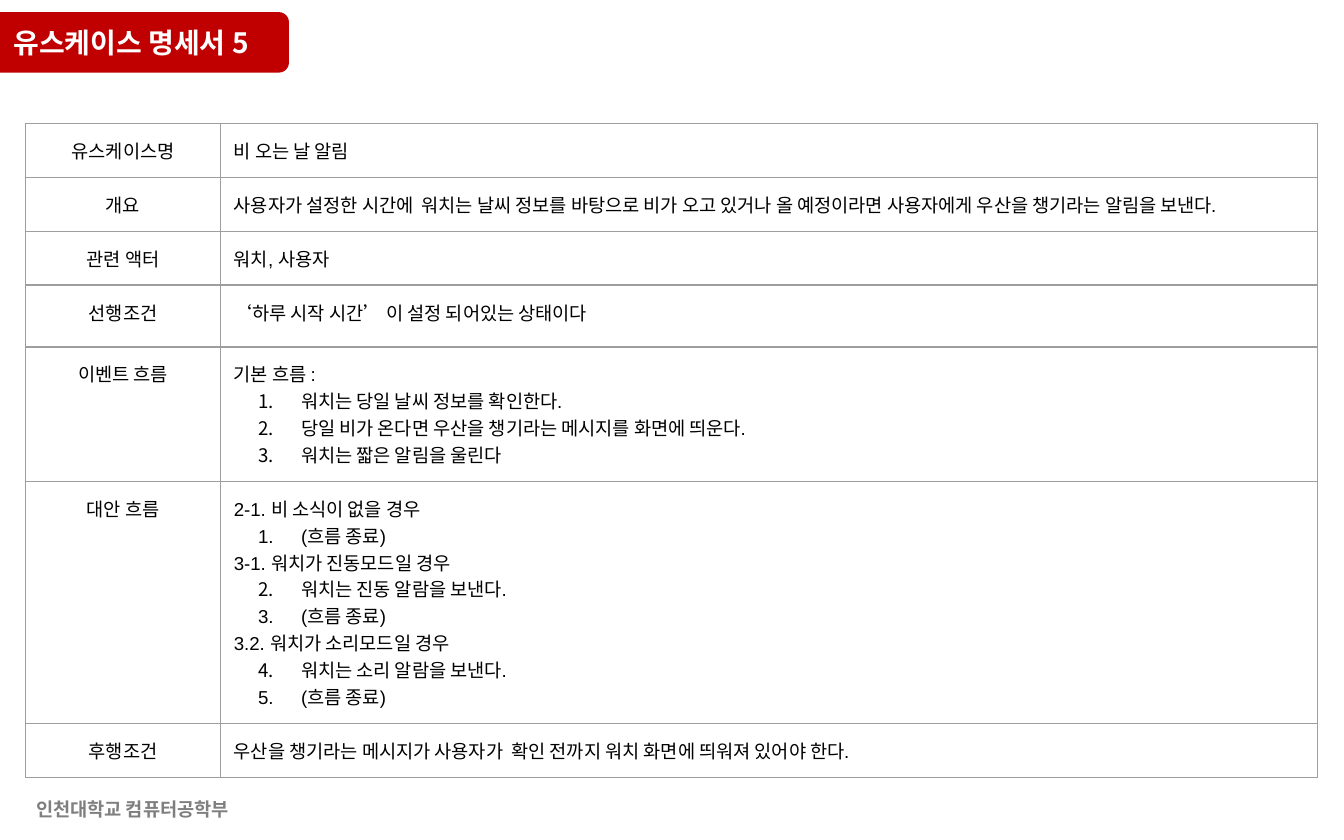
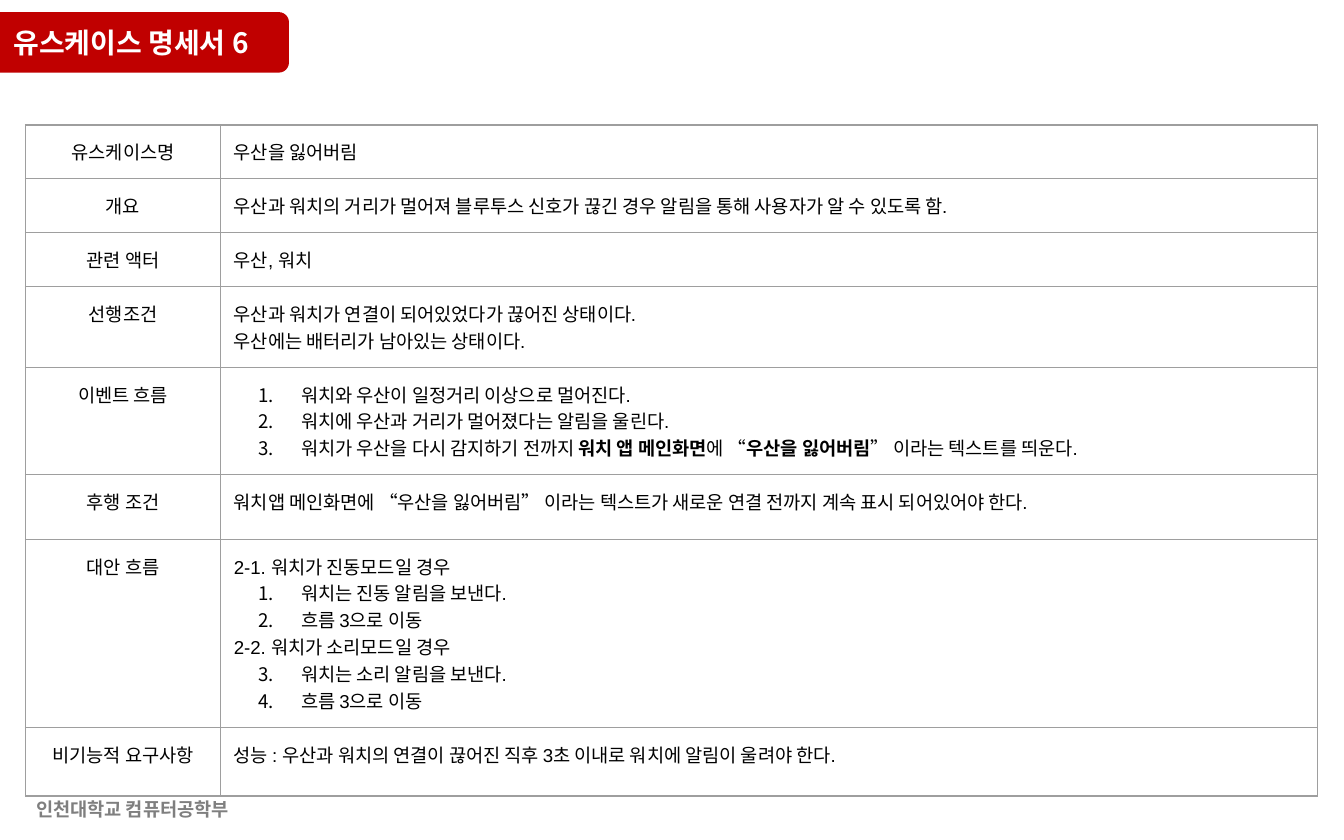
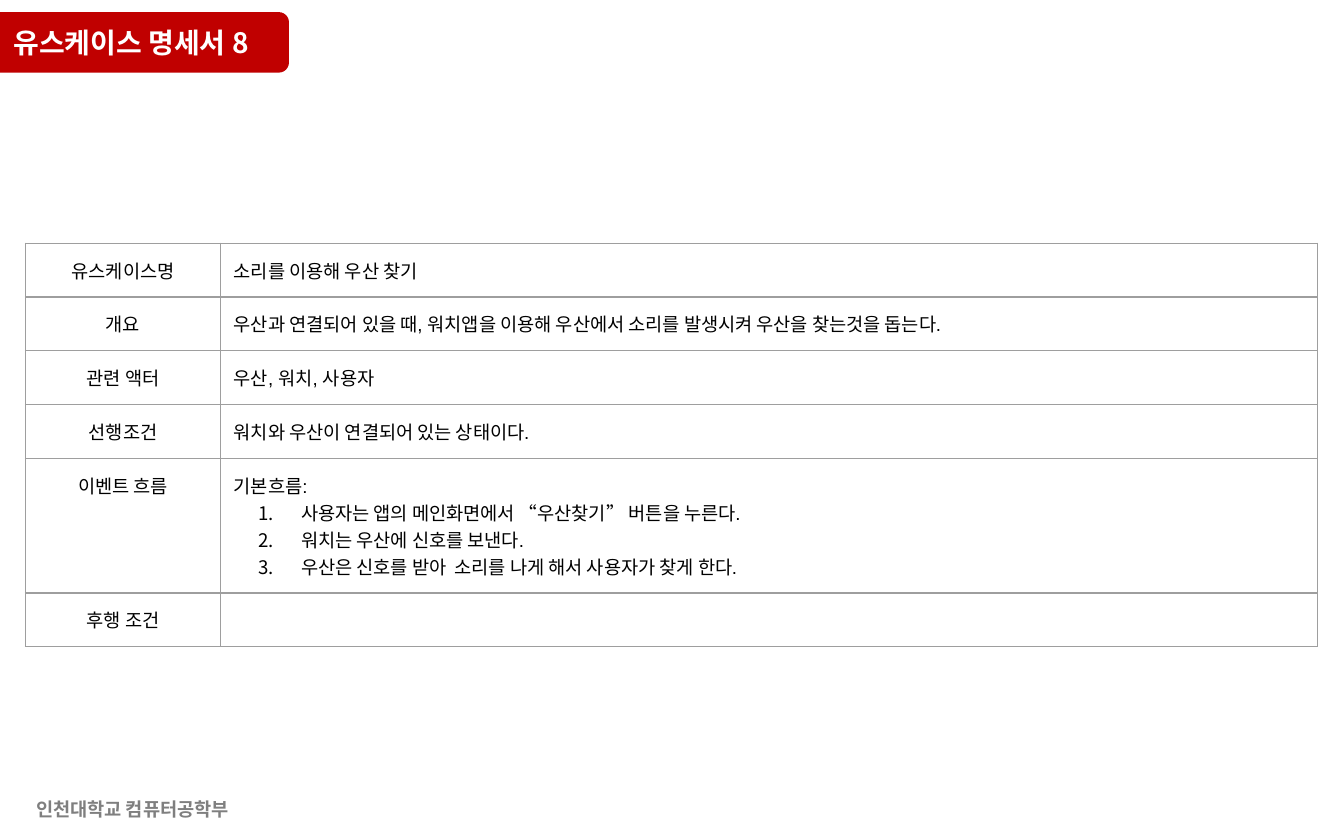
import pptx
import pptx.util
import pptx.dml.color
import pptx.enum.shapes
import pptx.enum.text
import pptx.oxml
import pptx.oxml.ns
from lxml import etree

Inches, Pt = pptx.util.Inches, pptx.util.Pt
RGBColor = pptx.dml.color.RGBColor
PP_ALIGN = pptx.enum.text.PP_ALIGN
qn = pptx.oxml.ns.qn

RED = RGBColor(0xC0, 0x00, 0x00)
WHITE = RGBColor(0xFF, 0xFF, 0xFF)
BLACK = RGBColor(0x00, 0x00, 0x00)
GRAY = RGBColor(0x7F, 0x7F, 0x7F)
BORDER = RGBColor(0x9E, 0x9E, 0x9E)
LATIN, HANGUL = "Arial", "Noto Sans CJK KR"

TITLE_FONT = {"name": HANGUL, "size": Pt(15), "bold": True}
FOOTER_FONT = {"name": HANGUL, "size": Pt(10), "bold": True}
CELL_FONT = {"name": LATIN, "size": Pt(10)}
NAME_FONT = {"name": HANGUL, "size": Pt(10)}

FOOTER = "인천대학교 컴퓨터공학부"
COLUMNS = (1.45, 8.16)
TABLE_LEFT = 0.19
LINE, MARGIN = 0.2, 0.1

# In the lines of a row, "# " starts a numbered item and ** encloses bold words.
# A row may end with a minimum height.
USE_CASES = [
    {"number": 5, "top": 0.92, "name_font": NAME_FONT, "rows": [
        ("유스케이스명", ["비 오는 날 알림"]),
        ("개요", ["사용자가 설정한 시간에  워치는 날씨 정보를 바탕으로 비가 오고 있거나 "
                "올 예정이라면 사용자에게 우산을 챙기라는 알림을 보낸다."]),
        ("관련 액터", ["워치, 사용자"]),
        ("선행조건", ["‘하루 시작 시간’ 이 설정 되어있는 상태이다"], 0.46),
        ("이벤트 흐름", ["기본 흐름 :",
                    "# 워치는 당일 날씨 정보를 확인한다.",
                    "# 당일 비가 온다면 우산을 챙기라는 메시지를 화면에 띄운다.",
                    "# 워치는 짧은 알림을 울린다"]),
        ("대안 흐름", ["2-1. 비 소식이 없을 경우",
                   "# (흐름 종료)",
                   "3-1. 워치가 진동모드일 경우",
                   "# 워치는 진동 알람을 보낸다.",
                   "# (흐름 종료)",
                   "3.2. 워치가 소리모드일 경우",
                   "# 워치는 소리 알람을 보낸다.",
                   "# (흐름 종료)"]),
        ("후행조건", ["우산을 챙기라는 메시지가 사용자가  확인 전까지 워치 화면에 "
                  "띄워져 있어야 한다."]),
    ]},
    {"number": 6, "top": 0.93, "name_font": NAME_FONT, "rows": [
        ("유스케이스명", ["우산을 잃어버림"]),
        ("개요", ["우산과 워치의 거리가 멀어져 블루투스 신호가 끊긴 경우 알림을 통해 "
                "사용자가 알 수 있도록 함."]),
        ("관련 액터", ["우산, 워치"]),
        ("선행조건", ["우산과 워치가 연결이 되어있었다가 끊어진 상태이다.",
                  "우산에는 배터리가 남아있는 상태이다."]),
        ("이벤트 흐름", ["# 워치와 우산이 일정거리 이상으로 멀어진다.",
                    "# 워치에 우산과 거리가 멀어졌다는 알림을 울린다.",
                    "# 워치가 우산을 다시 감지하기 전까지 **워치 앱 메인화면**에 "
                    "“**우산을 잃어버림**” 이라는 텍스트를 띄운다."]),
        ("후행 조건", ["워치앱 메인화면에 “우산을 잃어버림” 이라는 텍스트가 새로운 연결 "
                   "전까지 계속 표시 되어있어야 한다."], 0.48),
        ("대안 흐름", ["2-1. 워치가 진동모드일 경우",
                   "# 워치는 진동 알림을 보낸다.",
                   "# 흐름 3으로 이동",
                   "2-2. 워치가 소리모드일 경우",
                   "# 워치는 소리 알림을 보낸다.",
                   "# 흐름 3으로 이동"]),
        ("비기능적 요구사항", ["성능 : 우산과 워치의 연결이 끊어진 직후 3초 이내로 워치에 "
                       "알림이 울려야 한다."], 0.51),
    ]},
    {"number": 8, "top": 1.81, "name_font": CELL_FONT, "rows": [
        ("유스케이스명", ["소리를 이용해 우산 찾기"]),
        ("개요", ["우산과 연결되어 있을 때, 워치앱을 이용해 우산에서 소리를 발생시켜 "
                "우산을 찾는것을 돕는다."]),
        ("관련 액터", ["우산, 워치, 사용자"]),
        ("선행조건", ["워치와 우산이 연결되어 있는 상태이다."]),
        ("이벤트 흐름", ["기본흐름:",
                    "# 사용자는 앱의 메인화면에서 “우산찾기” 버튼을 누른다.",
                    "# 워치는 우산에 신호를 보낸다.",
                    "# 우산은 신호를 받아  소리를 나게 해서 사용자가 찾게 한다."]),
        ("후행 조건", [""]),
    ]},
]


def add_run(p, text, font, color, **extra):
    r = p.add_run()
    r.text = text
    for key, value in {**font, **extra}.items():
        setattr(r.font, key, value)
    r.font.color.rgb = color
    etree.SubElement(r.font._element, qn("a:ea"), typeface=HANGUL)


def format_frame(tf, vertical):
    values = {"word_wrap": True, "auto_size": pptx.enum.text.MSO_AUTO_SIZE.NONE,
              "vertical_anchor": pptx.enum.text.MSO_ANCHOR.TOP,
              "margin_left": Inches(0.1), "margin_right": Inches(0.1),
              "margin_top": Inches(vertical), "margin_bottom": Inches(vertical)}
    for key, value in values.items():
        setattr(tf, key, value)


def add_frame(slide, number):
    """Add the red title band, the footer and the title."""
    band = slide.shapes.add_shape(pptx.enum.shapes.MSO_SHAPE.ROUNDED_RECTANGLE,
                                  Inches(-0.16), Inches(0.09), Inches(2.31), Inches(0.45))
    band.shadow.inherit = False
    band.fill.solid()
    band.fill.fore_color.rgb = RED
    band.line.fill.background()

    footer = slide.shapes.add_textbox(0, Inches(5.89), Inches(1.97), Inches(0.27))
    format_frame(footer.text_frame, 0.05)
    p = footer.text_frame.paragraphs[0]
    p.alignment = PP_ALIGN.CENTER
    add_run(p, FOOTER, FOOTER_FONT, GRAY)

    title = slide.shapes.title
    title.left, title.top, title.width, title.height = (
        Inches(v) for v in (0, 0.09, 2.23, 0.27))
    format_frame(title.text_frame, 0.1)
    p = title.text_frame.paragraphs[0]
    p.alignment = PP_ALIGN.LEFT
    add_run(p, f"유스케이스 명세서 {number}", TITLE_FONT, WHITE)
    slide.shapes._spTree.append(title._element)  # bring in front of the band


def number_paragraph(p):
    pPr = p._p.get_or_add_pPr()
    pPr.set("marL", str(Inches(0.5)))
    pPr.set("indent", str(Inches(-0.32)))
    color = etree.SubElement(pPr, qn("a:buClr"))
    etree.SubElement(color, qn("a:srgbClr"), val=str(BLACK))
    etree.SubElement(pPr, qn("a:buAutoNum"), type="arabicPeriod")


def set_borders(cell):
    tcPr = cell._tc.get_or_add_tcPr()
    for i, side in enumerate(("lnL", "lnR", "lnT", "lnB")):
        ln = pptx.oxml.parse_xml(
            f'<a:{side} {pptx.oxml.ns.nsdecls("a")} w="{Pt(0.75)}"><a:solidFill>'
            f'<a:srgbClr val="{BORDER}"/></a:solidFill></a:{side}>')
        tcPr.insert(i, ln)


def fill_cell(cell, lines, font, align):
    for side in ("left", "right", "top", "bottom"):
        setattr(cell, f"margin_{side}", Inches(MARGIN))
    cell.fill.background()
    set_borders(cell)
    tf = cell.text_frame
    for i, line in enumerate(lines):
        p = tf.add_paragraph() if i else tf.paragraphs[0]
        p.alignment = align
        if line.startswith("# "):
            number_paragraph(p)
        if not line:
            etree.SubElement(p._p, qn("a:endParaRPr"), sz=str(int(font["size"].pt * 100)))
            continue
        for j, part in enumerate(line.removeprefix("# ").split("**")):
            add_run(p, part, font, BLACK, bold=j % 2 == 1)


def add_use_case_table(slide, case):
    rows = case["rows"]
    heights = [max(2 * MARGIN + LINE * len(lines), *minimum, 0)
               for _, lines, *minimum in rows]
    table = slide.shapes.add_table(
        len(rows), len(COLUMNS), Inches(TABLE_LEFT), Inches(case["top"]),
        Inches(sum(COLUMNS)), Inches(sum(heights))).table
    table.first_row = table.horz_banding = False
    for column, width in zip(table.columns, COLUMNS):
        column.width = Inches(width)
    for i, (label, lines, *_) in enumerate(rows):
        table.rows[i].height = Inches(heights[i])
        fill_cell(table.cell(i, 0), [label], CELL_FONT, PP_ALIGN.CENTER)
        fill_cell(table.cell(i, 1), lines, CELL_FONT if i else case["name_font"],
                  PP_ALIGN.LEFT)


def main():
    prs = pptx.Presentation()
    prs.slide_width, prs.slide_height = Inches(10), Inches(6.25)
    title_only = prs.slide_layouts[5]
    for case in USE_CASES:
        slide = prs.slides.add_slide(title_only)
        add_frame(slide, case["number"])
        add_use_case_table(slide, case)
    prs.save("out.pptx")


if __name__ == "__main__":
    main()
